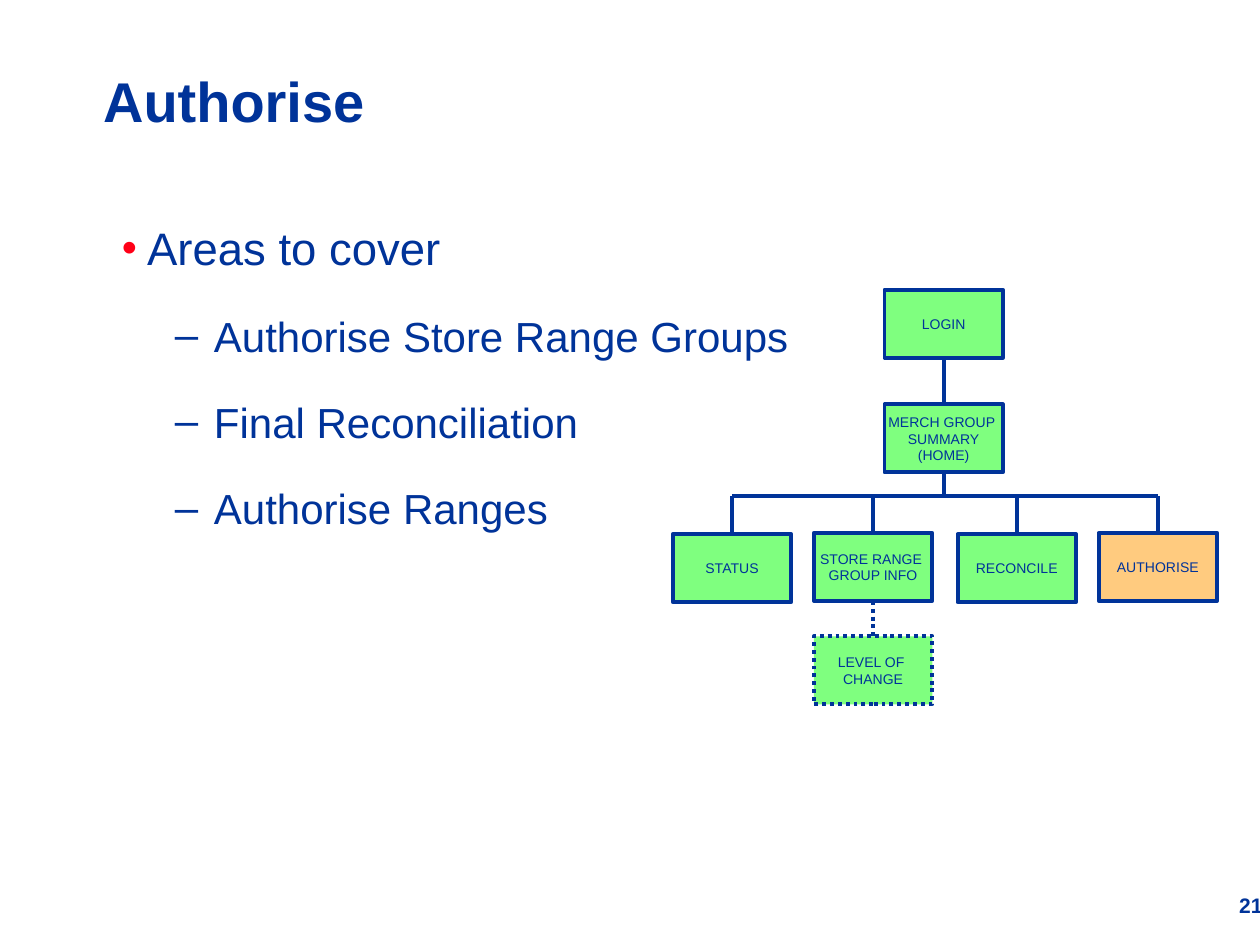
"""Build the Authorise slide: areas to cover beside a screen hierarchy."""
from lxml import etree
from pptx import Presentation
from pptx import util as u
from pptx.dml import color
from pptx.enum import dml, shapes, text
from pptx.oxml import ns

COLORS = {"navy": "003399", "red": "FF0017", "green": "00FF00", "orange": "FF9900"}
BOX_WIDTH, BOX_HEIGHT = 0.94, 0.54
BUS_Y = 3.94
TOP, BOTTOM = 0, 2


def rgb(name):
    return color.RGBColor.from_string(COLORS[name])


def apply(target, values):
    for key, value in values.items():
        setattr(target, key, value)


def add_xml(parent, tag, **attributes):
    return etree.SubElement(parent, ns.qn(tag), attributes)


def write(paragraph, wording, size, bold=False, **layout):
    paragraph.text = wording
    apply(paragraph, layout)
    apply(paragraph.font, {"name": "Arial", "size": u.Pt(size), "bold": bold})
    paragraph.font.color.rgb = rgb("navy")


def add_text_box(slide, place, **frame_format):
    frame = slide.shapes.add_textbox(*map(u.Inches, place)).text_frame
    apply(frame, {"word_wrap": True, **frame_format})
    return frame


def set_bullet(paragraph, char, tint, percent, margin, indent):
    properties = paragraph._p.get_or_add_pPr()
    properties.set("marL", str(u.Inches(margin)))
    properties.set("indent", str(u.Inches(indent)))
    add_xml(add_xml(properties, "a:buClr"), "a:srgbClr", val=COLORS[tint])
    add_xml(properties, "a:buSzPct", val=str(percent * 1000))
    add_xml(properties, "a:buFont", typeface="Arial")
    add_xml(properties, "a:buChar", char=char)


def add_areas(slide, heading, areas):
    frame = add_text_box(slide, (0.87, 1.48, 5.86, 3.54))
    first = frame.paragraphs[0]
    set_bullet(first, "•", "red", 95, 0.2, -0.2)
    write(first, heading, 26, line_spacing=1.5)
    for area in areas:
        item = frame.add_paragraph()
        set_bullet(item, "–", "navy", 100, 0.73, -0.31)
        write(item, area, 24, level=1, line_spacing=1.5, space_before=u.Pt(6))


def style_line(line, dotted):
    line.color.rgb = rgb("navy")
    line.width = u.Pt(2.25)
    if dotted:
        line.dash_style = dml.MSO_LINE.ROUND_DOT


def add_screen(slide, left, top, lines, tint="green", dotted=False):
    screen = slide.shapes.add_shape(
        shapes.MSO_SHAPE.RECTANGLE, *map(u.Inches, (left, top, BOX_WIDTH, BOX_HEIGHT)))
    screen.shadow.inherit = False
    screen.fill.solid()
    screen.fill.fore_color.rgb = rgb(tint)
    add_xml(screen._element.spPr.find(ns.qn("a:solidFill"))[0], "a:alpha", val="50000")
    style_line(screen.line, dotted)
    frame = screen.text_frame
    apply(frame, {"word_wrap": False, "vertical_anchor": text.MSO_ANCHOR.MIDDLE})
    for index, wording in enumerate(lines):
        paragraph = frame.add_paragraph() if index else frame.paragraphs[0]
        write(paragraph, wording, 8, alignment=text.PP_ALIGN.CENTER)
    return screen


def add_link(slide, start, end, above=None, below=None, dotted=False):
    link = slide.shapes.add_connector(
        shapes.MSO_CONNECTOR.STRAIGHT, *map(u.Inches, start + end))
    style_line(link.line, dotted)
    add_xml(link._element.spPr, "a:effectLst")
    if above is not None:
        link.begin_connect(above, BOTTOM)
    if below is not None:
        link.end_connect(below, TOP)


def add_hierarchy(slide):
    login = add_screen(slide, 7.02, 2.3, ["LOGIN"])
    home = add_screen(slide, 7.02, 3.21, ["MERCH GROUP ", "SUMMARY", "(HOME)"])
    branches = [
        (5.34, 4.24, ["STATUS"], "green"),
        (6.46, 4.23, ["STORE RANGE ", "GROUP INFO"], "green"),
        (7.6, 4.24, ["RECONCILE"], "green"),
        (8.72, 4.23, ["AUTHORISE"], "orange"),
    ]
    screens = [add_screen(slide, *branch) for branch in branches]
    change = add_screen(slide, 6.46, 5.05, ["LEVEL OF ", "CHANGE"], dotted=True)

    trunk_x = 7.02 + BOX_WIDTH / 2
    centers = [branch[0] + BOX_WIDTH / 2 for branch in branches]
    add_link(slide, (trunk_x, 2.84), (trunk_x, 3.21), login, home)
    add_link(slide, (trunk_x, 3.75), (trunk_x, BUS_Y), above=home)
    add_link(slide, (centers[0], BUS_Y), (centers[-1], BUS_Y))
    for center, branch, screen in zip(centers, branches, screens):
        add_link(slide, (center, BUS_Y), (center, branch[1]), below=screen)
    add_link(slide, (centers[1], 4.77), (centers[1], 5.05), screens[1], change, dotted=True)


def main():
    deck = Presentation()
    apply(deck, {"slide_width": u.Inches(10), "slide_height": u.Inches(7.5)})
    slide = deck.slides.add_slide(deck.slide_layouts[6])
    number = add_text_box(
        slide, (9.21, 7.08, 0.81, 0.2), word_wrap=False,
        vertical_anchor=text.MSO_ANCHOR.MIDDLE,
        margin_left=0, margin_top=0, margin_right=0, margin_bottom=0)
    write(number.paragraphs[0], "21", 12, bold=True, alignment=text.PP_ALIGN.RIGHT)
    title = add_text_box(
        slide, (0.72, 0.65, 6.35, 0.47), vertical_anchor=text.MSO_ANCHOR.BOTTOM)
    write(title.paragraphs[0], "Authorise", 32, bold=True, line_spacing=0.95)
    add_areas(slide, "Areas to cover", [
        "Authorise Store Range Groups", "Final Reconciliation", "Authorise Ranges"])
    add_hierarchy(slide)
    deck.save("out.pptx")


if __name__ == "__main__":
    main()
